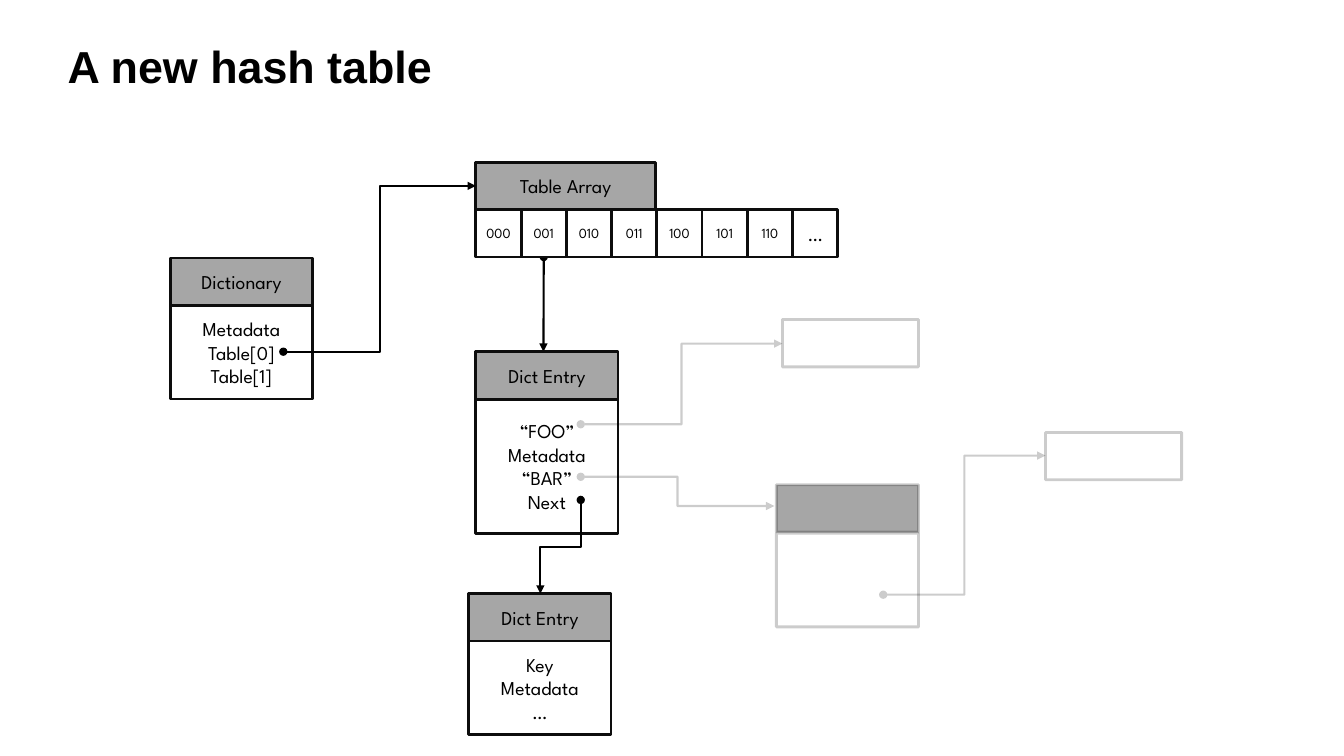
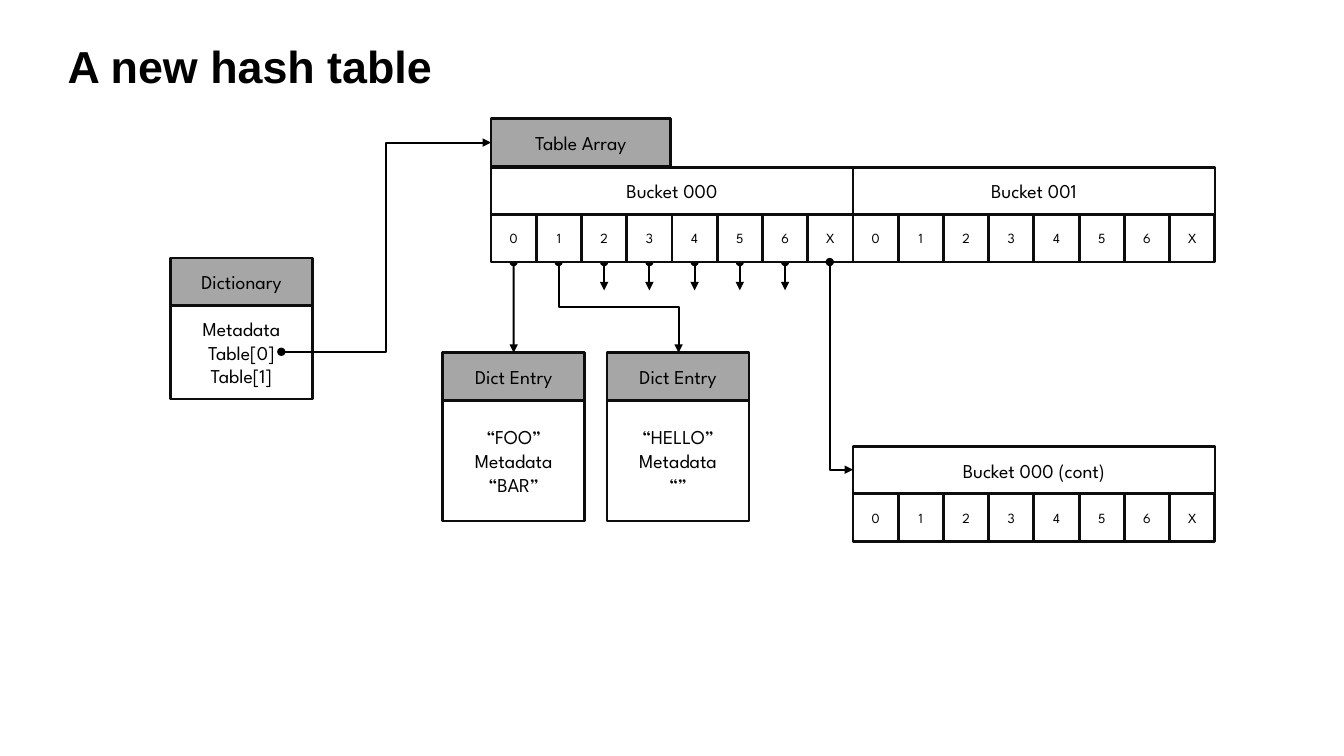
"""Build two slides that compare linked-entry and bucketed hash table layouts."""
import lxml.etree
import pptx
import pptx.dml.color
import pptx.enum.shapes
import pptx.enum.text
import pptx.oxml.ns
import pptx.util

Inches = pptx.util.Inches
Pt = pptx.util.Pt
qn = pptx.oxml.ns.qn
COLORS = {"text": "000000", "outline": "0D0D0D", "header": "A6A6A6", "body": "FFFFFF"}
RGB = {name: pptx.dml.color.RGBColor.from_string(value) for name, value in COLORS.items()}
TITLE_FONT = "Arial"
DIAGRAM_FONT = "League Spartan"
FADED_ALPHA = "20000"
ROW = 0.47
ENTRY_WIDTH = 1.41
ARRAY_WIDTH = 1.78
BUCKET_WIDTH = 3.59
CELL = BUCKET_WIDTH / 8
SLOTS = "0123456X"


def add_box(slide, left, top, width, height, text="", fill="body", size=14, faded=False):
    """Add an outlined rectangle with centred text."""
    box = slide.shapes.add_shape(
        pptx.enum.shapes.MSO_SHAPE.RECTANGLE,
        Inches(left), Inches(top), Inches(width), Inches(height))
    box.shadow.inherit = False
    box.fill.solid()
    box.fill.fore_color.rgb = RGB[fill]
    box.line.width = Pt(2)
    box.line.color.rgb = RGB["text" if faded else "outline"]
    if faded:
        color = box.line._get_or_add_ln().find(".//" + qn("a:srgbClr"))
        lxml.etree.SubElement(color, qn("a:alpha"), val=FADED_ALPHA)
    if text:
        box.text_frame.text = text
        box.text_frame.vertical_anchor = pptx.enum.text.MSO_ANCHOR.MIDDLE
        for para in box.text_frame.paragraphs:
            para.alignment = pptx.enum.text.PP_ALIGN.CENTER
            for span in para.runs:
                span.font.name = DIAGRAM_FONT
                span.font.size = Pt(size)
                span.font.color.rgb = RGB["text"]
    return box


def add_arrow(slide, start, end, preset="line", downward=False, faded=False):
    """Add an arrow from a dot; a downward elbow leaves its start vertically."""
    kinds = pptx.enum.shapes.MSO_CONNECTOR
    kind = kinds.STRAIGHT if preset == "line" else kinds.ELBOW
    (x1, y1), (x2, y2) = start, end
    if downward:
        middle_x, middle_y = (x1 + x2) / 2, (y1 + y2) / 2
        half_width, half_height = abs(y2 - y1) / 2, abs(x2 - x1) / 2
        side = 1 if x2 < x1 else -1
        x1, x2 = middle_x - side * half_width, middle_x + side * half_width
        y1, y2 = middle_y - half_height, middle_y + half_height
    arrow = slide.shapes.add_connector(kind, Inches(x1), Inches(y1), Inches(x2), Inches(y2))
    properties = arrow._element.spPr
    properties.find(qn("a:prstGeom")).set("prst", preset)
    if downward:
        properties.find(qn("a:xfrm")).set("rot", str((90 if side == 1 else 270) * 60000))
    arrow.line.width = Pt(1.5)
    arrow.line.color.rgb = RGB["text"]
    line = arrow.line._get_or_add_ln()
    if faded:
        color = line.find(".//" + qn("a:srgbClr"))
        lxml.etree.SubElement(color, qn("a:alpha"), val=FADED_ALPHA)
    lxml.etree.SubElement(line, qn("a:headEnd"), type="oval")
    lxml.etree.SubElement(line, qn("a:tailEnd"), type="triangle")
    lxml.etree.SubElement(properties, qn("a:effectLst"))
    return arrow


deck = pptx.Presentation()
deck.slide_width = Inches(13.33)
deck.slide_height = Inches(7.5)

for array_left, array_top, pointer_left in [(4.72, 1.61, 2.81), (4.87, 1.18, 2.79)]:
    slide = deck.slides.add_slide(deck.slide_layouts[5])
    title = slide.shapes.title
    title.left, title.top = Inches(0.67), Inches(0.44)
    title.width, title.height = Inches(12.1), Inches(0.48)
    frame = title.text_frame
    frame.text = "A new hash table"
    frame.margin_left = frame.margin_right = frame.margin_top = frame.margin_bottom = 0
    frame.vertical_anchor = pptx.enum.text.MSO_ANCHOR.TOP
    frame.auto_size = pptx.enum.text.MSO_AUTO_SIZE.SHAPE_TO_FIT_TEXT
    para = frame.paragraphs[0]
    para.alignment = pptx.enum.text.PP_ALIGN.LEFT
    para.line_spacing = 0.9
    font = para.runs[0].font
    font.name, font.size, font.bold = TITLE_FONT, Pt(32), True
    font.color.rgb = RGB["text"]

    add_box(slide, 1.69, 2.56, ENTRY_WIDTH, ROW, "Dictionary", "header")
    add_box(slide, 1.69, 3.03, ENTRY_WIDTH, 0.93, "Metadata\nTable[0]\nTable[1]")
    table_array = add_box(slide, array_left, array_top, ARRAY_WIDTH, ROW, "Table Array", "header")
    pointer = add_arrow(slide, (pointer_left, 3.49), (array_left, array_top + ROW / 2),
                        "bentConnector3")
    pointer.end_connect(table_array, 1)

linked_slide, bucket_slide = deck.slides

slot_arrow = add_arrow(linked_slide, (5.39, 2.56), (5.39, 3.49))
for left, top, height, text in [
    (4.72, 3.49, 1.33, "“FOO”\nMetadata\n“BAR”\nNext"),
    (4.65, 5.89, 0.93, "Key\nMetadata\n…"),
]:
    add_box(linked_slide, left, top, ENTRY_WIDTH, ROW, "Dict Entry", "header")
    add_box(linked_slide, left, top + ROW, ENTRY_WIDTH, height, text)
add_arrow(linked_slide, (5.76, 4.96), (5.36, 5.89), "bentConnector3", downward=True)

add_box(linked_slide, 7.7, 4.81, ENTRY_WIDTH, ROW, fill="header", faded=True)
add_box(linked_slide, 7.7, 5.29, ENTRY_WIDTH, 0.93, faded=True)
for left, top in [(10.37, 4.29), (7.76, 3.17)]:
    add_box(linked_slide, left, top, 1.35, ROW, faded=True)
for start, end in [
    ((5.76, 4.73), (7.68, 5.02)),
    ((8.76, 5.9), (10.37, 4.52)),
    ((5.76, 4.21), (7.76, 3.41)),
]:
    add_arrow(linked_slide, start, end, "bentConnector3", faded=True)

for index, label in enumerate(["000", "001", "010", "011", "100", "101", "110", "…"]):
    cell = add_box(linked_slide, 4.72 + index * CELL, 2.08, CELL, ROW, label,
                   size=14 if label == "…" else 10)
    if label == "001":
        slot_arrow.begin_connect(cell, 2)

entry_headers = []
for left, text in [(4.39, "“FOO”\nMetadata\n“BAR”"), (6.02, "“HELLO”\nMetadata\n“”")]:
    entry_headers.append(
        add_box(bucket_slide, left, 3.5, ENTRY_WIDTH, ROW, "Dict Entry", "header"))
    add_box(bucket_slide, left, 3.97, ENTRY_WIDTH, 1.2, text)

add_arrow(bucket_slide, (5.54, 2.6), (6.73, 3.5), "bentConnector3", downward=True)
slot_arrows = {}
for index in [0, 2, 3, 4, 5, 6]:
    middle = 4.87 + (index + 0.5) * CELL
    slot_arrows[index] = add_arrow(bucket_slide, (middle, 2.6),
                                   (middle, 2.88 if index else 3.5))
slot_arrows[0].end_connect(entry_headers[0], 0)

for left, top, name in [
    (4.87, 1.66, "Bucket 000"),
    (4.87 + BUCKET_WIDTH, 1.66, "Bucket 001"),
    (4.87 + BUCKET_WIDTH, 4.43, "Bucket 000 (cont)"),
]:
    add_box(bucket_slide, left, top, BUCKET_WIDTH, ROW, name)
    for index, label in enumerate(SLOTS):
        cell = add_box(bucket_slide, left + index * CELL, top + ROW, CELL, ROW, label, size=10)
        if name == "Bucket 000" and index in slot_arrows:
            slot_arrows[index].begin_connect(cell, 2)
add_arrow(bucket_slide, (8.23, 2.6), (8.46, 4.66), "bentConnector2", downward=True)

deck.save("out.pptx")
